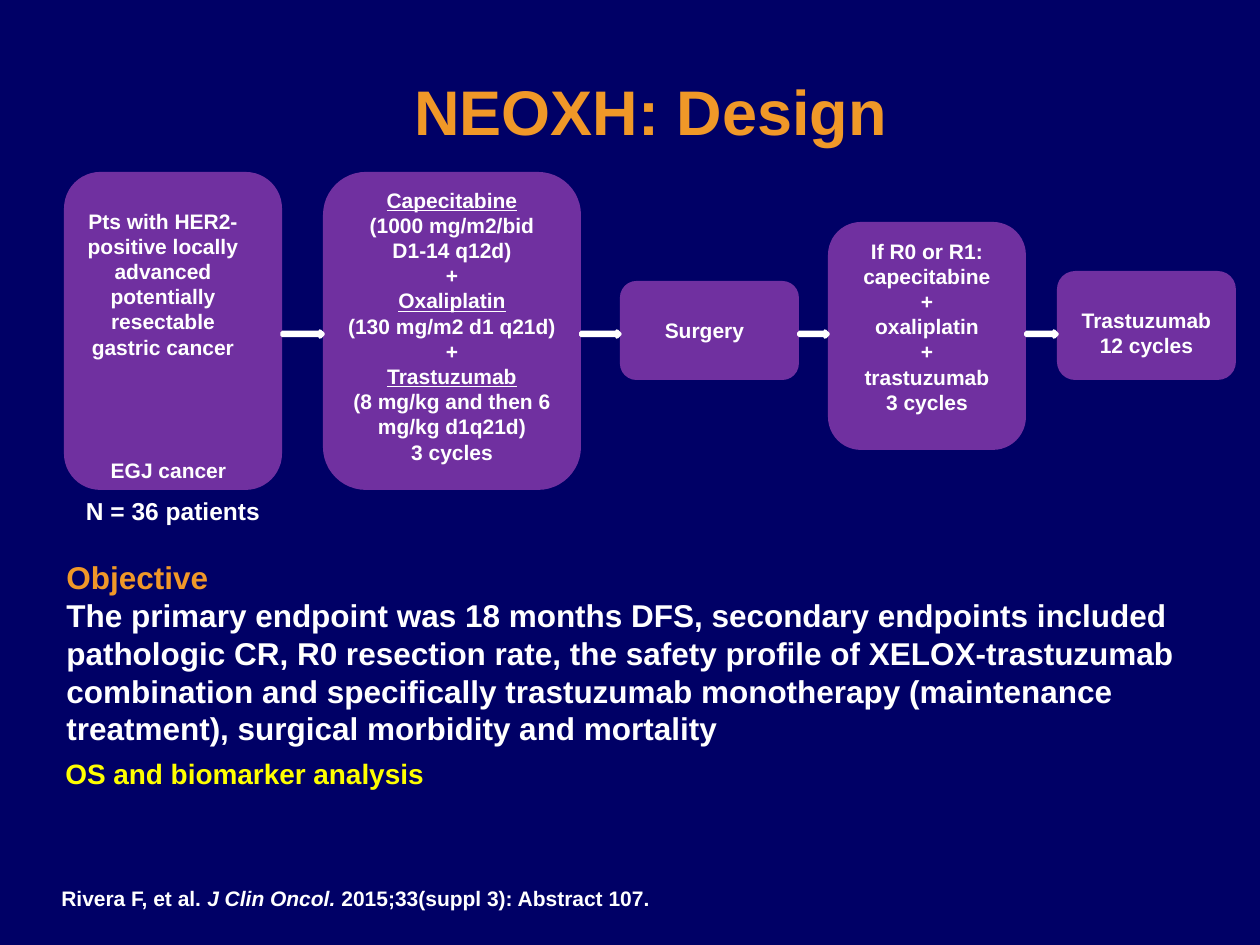
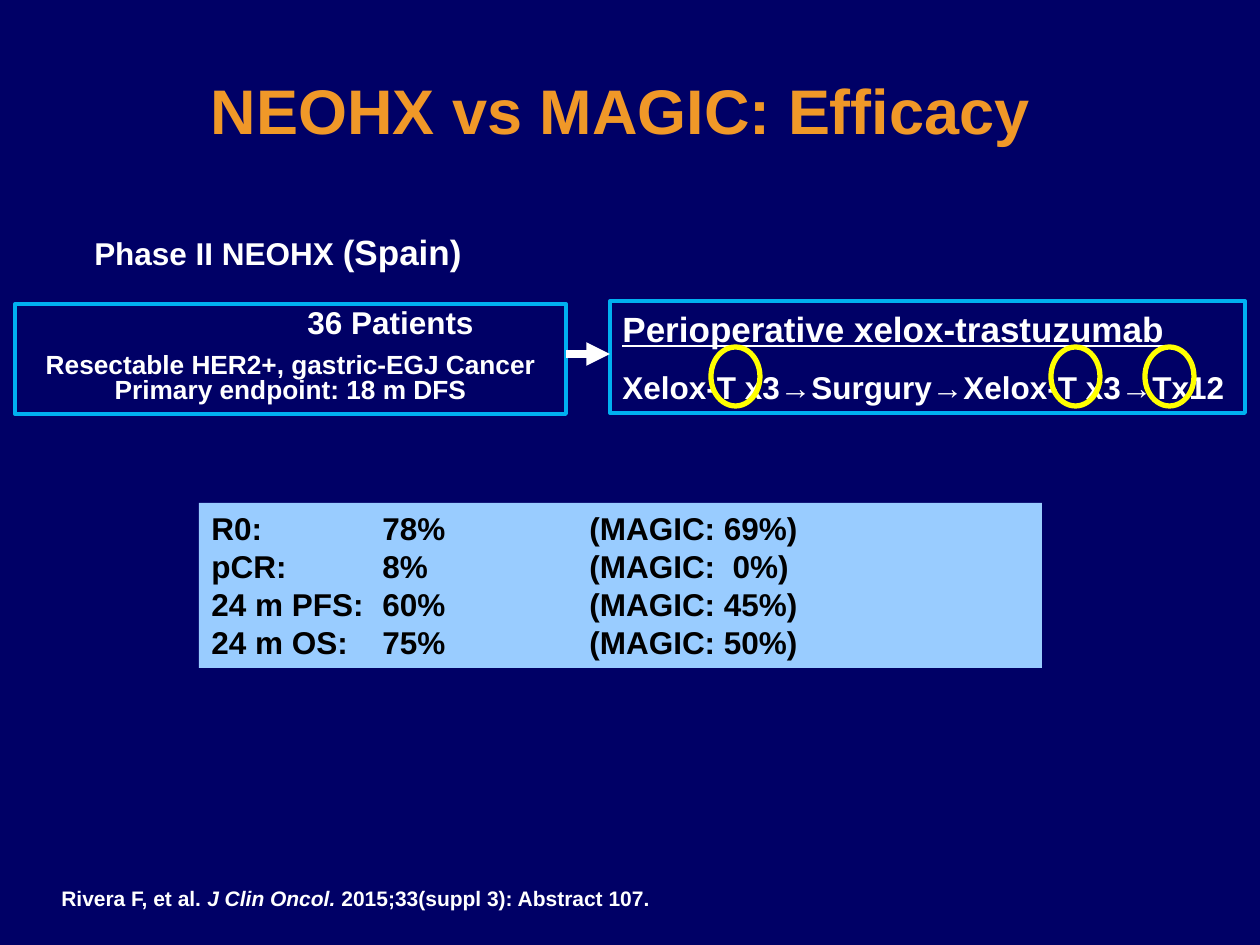
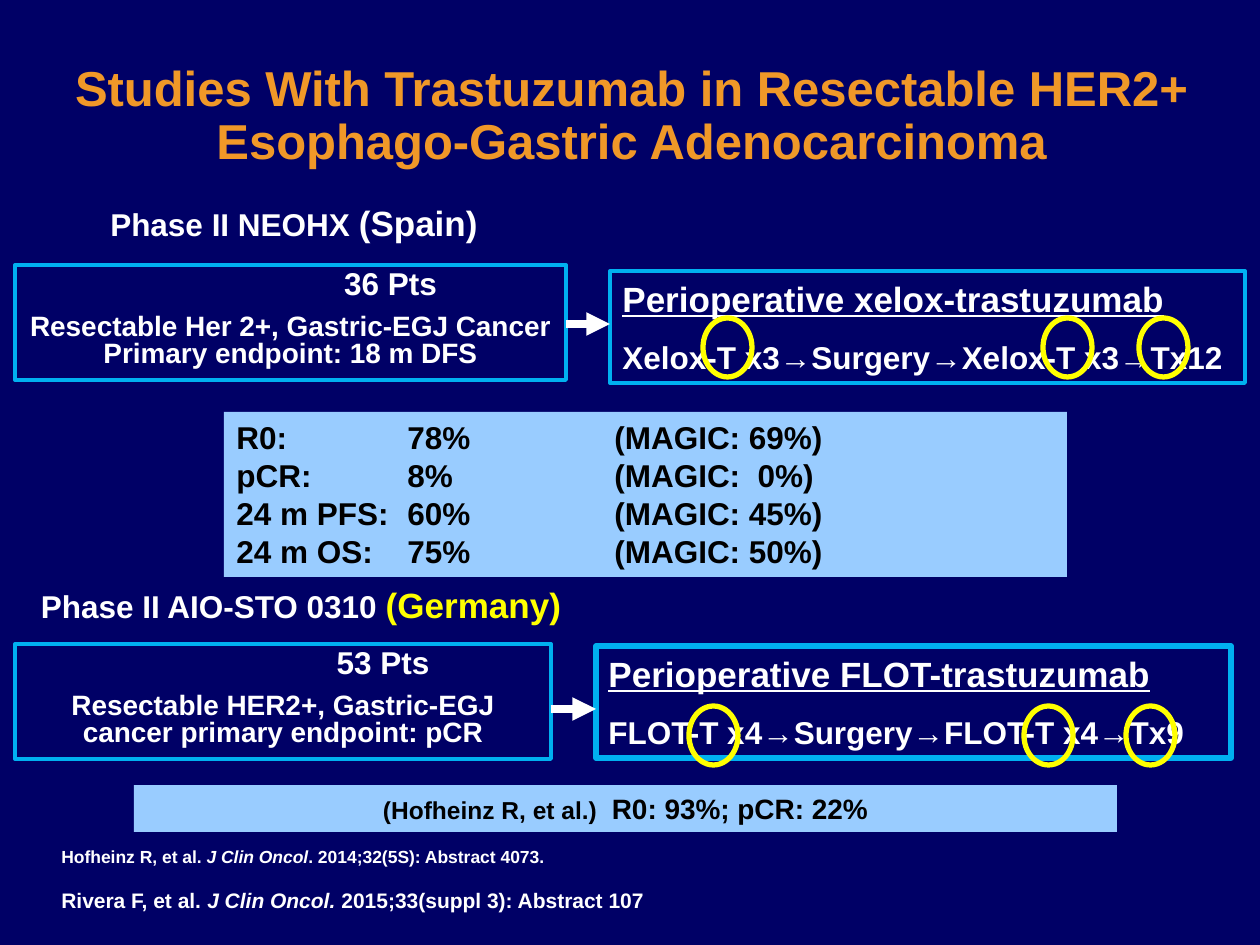
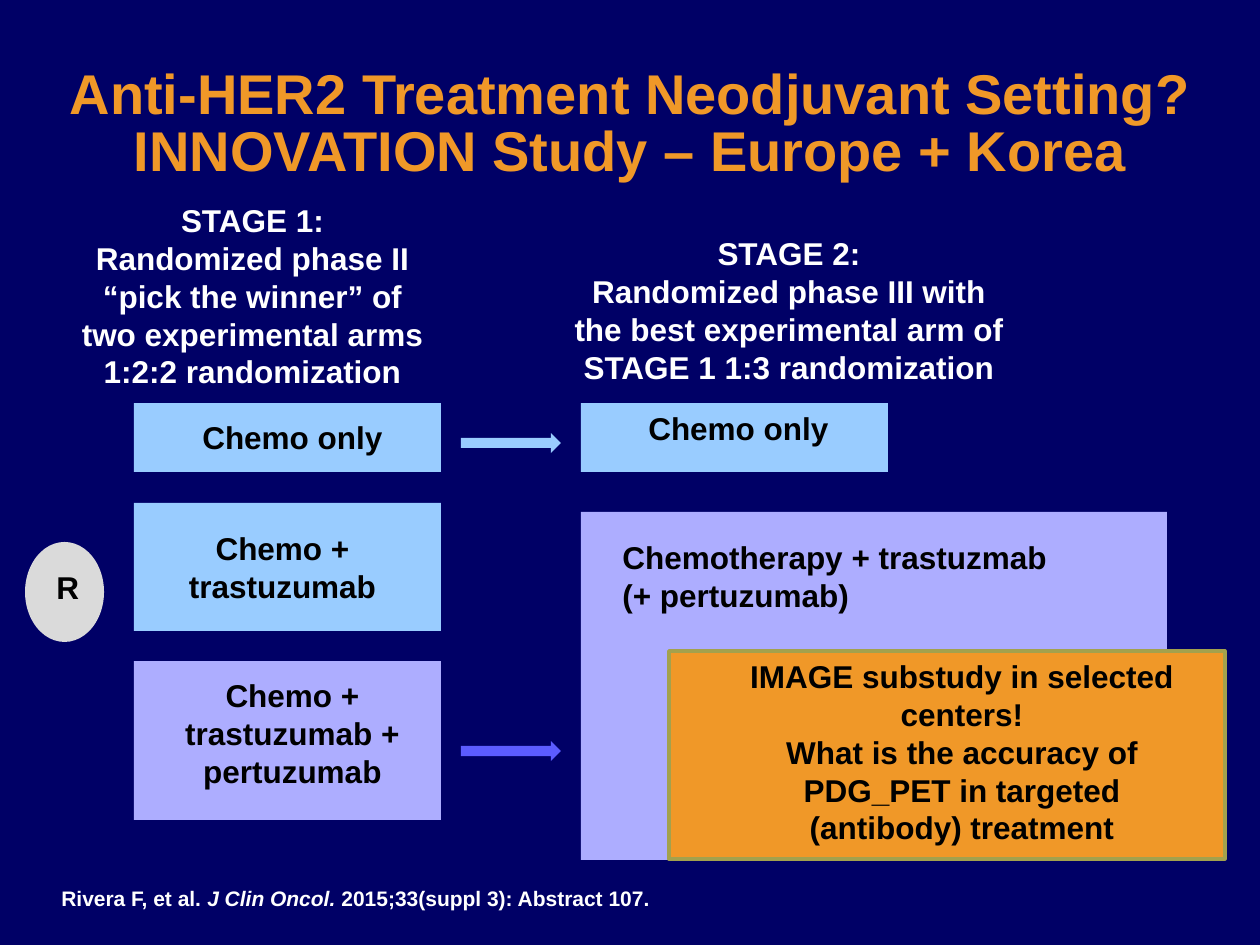
from dataclasses import dataclass
from itertools import pairwise

from lxml import etree
from pptx import Presentation
from pptx.dml.color import RGBColor
from pptx.enum.shapes import MSO_CONNECTOR, MSO_SHAPE
from pptx.enum.text import MSO_ANCHOR, PP_ALIGN
from pptx.oxml.ns import qn
from pptx.util import Emu, Pt

RECT, ROUND, OVAL, ARROW = (MSO_SHAPE.RECTANGLE, MSO_SHAPE.ROUNDED_RECTANGLE,
                            MSO_SHAPE.OVAL, MSO_SHAPE.RIGHT_ARROW)
LEFT, CENTER = PP_ALIGN.LEFT, PP_ALIGN.CENTER
TOP, MIDDLE = MSO_ANCHOR.TOP, MSO_ANCHOR.MIDDLE
STRAIGHT = MSO_CONNECTOR.STRAIGHT

EMU_PER_PX = 914400 / 126
SLIDE_SIZE = (1260, 945)
BLANK = 6


@dataclass(frozen=True)
class Theme:
    font: str = "Arial"
    navy: str = "000066"
    orange: str = "F09828"
    white: str = "FFFFFF"
    black: str = "000000"
    yellow: str = "FFFF00"
    purple: str = "7030A0"
    cyan: str = "00B0F0"
    sky: str = "99CCFF"
    lilac: str = "ADADFF"
    indigo: str = "5C5CFF"
    gray: str = "DADADA"
    olive: str = "A3A14D"
    title: int = 36
    title_medium: int = 32
    title_small: int = 28
    large: int = 20
    body: int = 18
    note: int = 16
    detail: int = 15
    caption: int = 14
    small: int = 12
    tiny: int = 10


T = Theme()


def px(value):
    return Emu(round(value * EMU_PER_PX))


def rgb(color):
    return RGBColor.from_string(color)


# Text

def write(tf, paras, size=T.body, color=T.white, anchor=TOP, indent=0, **para_format):
    """Each paragraph is a string or a list of (text, run format) pairs."""
    tf.word_wrap = True
    tf.vertical_anchor = anchor
    para_format = {"alignment": LEFT, **para_format}
    for i, para in enumerate([paras] if isinstance(paras, str) else paras):
        p = tf.paragraphs[0] if i == 0 else tf.add_paragraph()
        for name, value in para_format.items():
            setattr(p, name, value)
        runs = [(para, {})] if isinstance(para, str) else para
        for text, run_format in runs:
            r = p.add_run()
            r.text = text
            values = {"name": T.font, "size": size, "bold": True,
                      "color": color, **run_format}
            r.font.color.rgb = rgb(values.pop("color"))
            values["size"] = Pt(values["size"])
            for name, value in values.items():
                setattr(r.font, name, value)
    if indent:
        tf.paragraphs[0]._p.get_or_add_pPr().set("marL", str(px(indent)))


def add_text(s, box, paras, **text_format):
    tf = s.shapes.add_textbox(*map(px, box)).text_frame
    write(tf, paras, **text_format)
    return tf


def add_title(s, box, text, size, line_spacing=0.9):
    tf = add_text(s, box, text, size=size, color=T.orange, anchor=MIDDLE,
                  alignment=CENTER, line_spacing=line_spacing)
    # Text shadow, placed right after the fill
    for r in tf.paragraphs[0].runs:
        effects = etree.Element(qn("a:effectLst"))
        shadow = etree.SubElement(effects, qn("a:outerShdw"), dist="38100",
                                  dir="2700000", algn="tl")
        etree.SubElement(shadow, qn("a:srgbClr"), val=T.black)
        r.font._element.find(qn("a:solidFill")).addnext(effects)


def citation(author, journal, rest):
    return [[(author, {}), (journal, {"italic": True}), (rest, {})]]


def add_footer(s, y=879, end="."):
    add_text(s, (49, y, 1134, 38), citation(
        "Rivera F, et al. ", "J Clin Oncol. ",
        "2015;33(suppl 3): Abstract 107" + end), size=T.small)


# Shapes

def add_shape(s, kind, box, fill=None, line=None, width=2.25):
    sp = s.shapes.add_shape(kind, *map(px, box))
    sp.shadow.inherit = False
    if fill:
        sp.fill.solid()
        sp.fill.fore_color.rgb = rgb(fill)
    else:
        sp.fill.background()
    if line:
        sp.line.color.rgb = rgb(line)
        sp.line.width = Pt(width)
    else:
        sp.line.fill.background()
    return sp


def add_arrow_line(s, x1, x2, y):
    c = s.shapes.add_connector(STRAIGHT, *map(px, (x1, y, x2, y)))
    c.line.color.rgb = rgb(T.white)
    c.line.width = Pt(4.5)
    c.line._get_or_add_ln().append(
        etree.Element(qn("a:tailEnd"), type="triangle"))
    etree.SubElement(c._element.spPr, qn("a:effectLst"))


def add_results(s, x, y):
    rows = [("R0:", "78%", "(MAGIC: 69%)"),
            ("pCR:", "8%", "(MAGIC:  0%)"),
            ("24 m PFS:", "60%", "(MAGIC: 45%)"),
            ("24 m OS:", "75%", "(MAGIC: 50%)")]
    sp = add_shape(s, RECT, (x, y, 843, 165), T.sky)
    write(sp.text_frame, ["\t".join(row) for row in rows], color=T.black)
    for p in sp.text_frame.paragraphs:
        tabs = etree.SubElement(p._p.get_or_add_pPr(), qn("a:tabLst"))
        for stop in (171, 378):
            etree.SubElement(tabs, qn("a:tab"), pos=str(px(stop)), algn="l")


def add_study(s, heading_box, heading, country, patients_box, patients, criteria,
              regimen_box, regimen, steps, arrow_y, marks, mark_y,
              criteria_size=T.note, country_color=T.white, regimen_line=2.25):
    add_text(s, heading_box, [[(heading, {}), (country, {
        "size": T.large, "color": country_color})]], alignment=CENTER)

    sp = add_shape(s, RECT, patients_box, line=T.cyan)
    write(sp.text_frame, [patients, [(criteria, {"size": criteria_size})]],
          alignment=CENTER, line_spacing=0.8, indent=200)
    sp.text_frame.paragraphs[1].space_before = Pt(8)

    sp = add_shape(s, RECT, regimen_box, line=T.cyan, width=regimen_line)
    write(sp.text_frame, [[(regimen, {"size": T.large, "underline": True})], steps])
    sp.text_frame.paragraphs[1].space_before = Pt(11)

    add_arrow_line(s, patients_box[0] + patients_box[2], regimen_box[0], arrow_y)
    for x in marks:
        add_shape(s, OVAL, (x, mark_y, 49, 59), line=T.yellow, width=3)


# Slides

def design_slide(s):
    add_text(s, (402, 66, 520, 89), "NEOXH: Design", size=T.title, color=T.orange)

    # Treatment steps and the arrows between them
    steps = [(64, 172, 218, 318), (323, 172, 258, 318), (620, 281, 179, 99),
             (828, 222, 198, 228), (1057, 271, 179, 109)]
    for box in steps:
        add_shape(s, ROUND, box, T.purple)
    for (x, _, w, _), (next_x, *_) in pairwise(steps):
        add_shape(s, ARROW, (x + w, 331, next_x - x - w, 6), T.white, T.white, 2)

    underline = {"underline": True}
    labels = [
        ((64, 202, 198, 165), "Pts with HER2- positive locally advanced "
         "potentially resectable gastric cancer"),
        ((84, 451, 169, 38), "EGJ cancer"),
        ((323, 181, 258, 292),
         [[("Capecitabine", underline)], "(1000 mg/m2/bid", "D1-14 q12d)", "+",
          [("Oxaliplatin", underline)], "(130 mg/m2 d1 q21d)", "+",
          [("Trastuzumab", underline)], "(8 mg/kg and then 6 mg/kg d1q21d)",
          "3 cycles"]),
        ((640, 311, 129, 38), "Surgery"),
        ((828, 232, 198, 190), ["If R0 or R1:", "capecitabine", "+", "oxaliplatin",
                                "+", "trastuzumab", "3 cycles"]),
        ((1057, 301, 179, 63), "Trastuzumab 12 cycles"),
    ]
    for box, paras in labels:
        add_text(s, box, paras, size=T.small, alignment=CENTER)
    add_text(s, (64, 490, 218, 43), "N = 36 patients", size=T.caption,
             alignment=CENTER)

    # Objective
    add_text(s, (54, 552, 1160, 204), [
        [("Objective", {"color": T.orange})],
        "The primary endpoint was 18 months DFS, secondary endpoints included "
        "pathologic CR, R0 resection rate, the safety profile of "
        "XELOX-trastuzumab combination and specifically trastuzumab monotherapy "
        "(maintenance treatment), surgical morbidity and mortality"])
    add_text(s, (53, 750, 399, 47), "OS and biomarker analysis", size=T.note,
             color=T.yellow)
    add_footer(s)


def efficacy_slide(s):
    add_title(s, (14, 35, 1213, 158), "NEOHX vs MAGIC: Efficacy", T.title)
    add_study(s, (0, 224, 556, 55), "Phase II NEOHX ", "(Spain)",
              (15, 304, 551, 110), "36 Patients",
              "Resectable HER2+, gastric-EGJ Cancer Primary endpoint: 18 m DFS",
              (610, 301, 635, 112), "Perioperative xelox-trastuzumab",
              "Xelox-T x3→Surgury→Xelox-T x3→Tx12",
              354, (711, 1051, 1145), 347, criteria_size=T.detail)
    add_results(s, 199, 503)
    add_footer(s)


def studies_slide(s):
    add_title(s, (25, 38, 1213, 158), "Studies With Trastuzumab in Resectable "
              "HER2+ Esophago-Gastric Adenocarcinoma", T.title_small)
    add_study(s, (15, 195, 558, 55), "Phase II NEOHX ", "(Spain)",
              (15, 265, 551, 115), "36 Pts",
              "Resectable Her 2+, Gastric-EGJ Cancer Primary endpoint: 18 m DFS",
              (610, 271, 635, 112), "Perioperative xelox-trastuzumab",
              "Xelox-T x3→Surgery→Xelox-T x3→Tx12",
              324, (703, 1043, 1139), 318)
    add_results(s, 224, 412)
    add_study(s, (15, 577, 572, 55), "Phase II AIO-STO 0310 ", "(Germany)",
              (15, 644, 536, 115), "53 Pts",
              "Resectable HER2+, Gastric-EGJ cancer primary endpoint: pCR",
              (596, 646, 635, 112), "Perioperative FLOT-trastuzumab",
              "FLOT-T x4→Surgery→FLOT-T x4→Tx9",
              709, (689, 1024, 1126), 706,
              country_color=T.yellow, regimen_line=3)
    sp = add_shape(s, RECT, (134, 785, 983, 47), T.sky)
    write(sp.text_frame, [[("(Hofheinz R, et al.) ", {"size": T.caption}),
                           (" R0: 93%; pCR: 22%", {})]],
          size=T.note, color=T.black, alignment=CENTER)
    add_text(s, (49, 840, 630, 34), citation(
        "Hofheinz R, et al. ", "J Clin Oncol", ". 2014;32(5S): Abstract 4073."),
        size=T.tiny)
    add_footer(s, 881, end="")


def innovation_slide(s):
    add_title(s, (47, 47, 1167, 158), "Anti-HER2 Treatment Neodjuvant Setting? "
              "INNOVATION Study – Europe + Korea", T.title_medium, 0.85)

    # Arms of both stages
    shapes = [
        (RECT, (134, 403, 307, 69), T.sky),
        (RECT, (134, 503, 307, 128), T.sky),
        (RECT, (134, 661, 307, 159), T.lilac),
        (ARROW, (461, 433, 100, 20), T.sky),
        (ARROW, (461, 741, 100, 20), T.indigo),
        (RECT, (581, 403, 307, 69), T.sky),
        (RECT, (581, 512, 586, 348), T.lilac),
        (OVAL, (25, 542, 79, 100), T.gray),
    ]
    for kind, box, fill in shapes:
        add_shape(s, kind, box, fill)
    add_shape(s, RECT, (669, 651, 556, 208), T.orange, T.olive, 2)

    # Labels
    labels = [
        ((154, 412, 277, 50), "Chemo only"),
        ((144, 523, 277, 89), ["Chemo +", "trastuzumab"]),
        ((154, 670, 277, 127), ["Chemo +", "trastuzumab +", "pertuzumab"]),
        ((600, 403, 277, 50), "Chemo only"),
        ((719, 651, 486, 204), [
            "IMAGE substudy in selected centers!",
            "What is the accuracy of PDG_PET in targeted (antibody) treatment"]),
        ((44, 562, 39, 50), "R"),
    ]
    for box, paras in labels:
        add_text(s, box, paras, color=T.black, alignment=CENTER)
    add_text(s, (610, 532, 546, 89),
             ["Chemotherapy + trastuzmab", "(+ pertuzumab)"], color=T.black)

    # Stage headings
    stages = [
        ((64, 195, 377, 204), ["STAGE 1:", "Randomized phase II “pick the winner” "
                               "of two experimental arms 1:2:2 randomization"]),
        ((561, 228, 456, 165), ["STAGE 2:", "Randomized phase III with the best "
                                "experimental arm of STAGE 1 1:3 randomization"]),
    ]
    for box, paras in stages:
        add_text(s, box, paras, alignment=CENTER)
    add_footer(s)


def main():
    prs = Presentation()
    prs.slide_width, prs.slide_height = map(px, SLIDE_SIZE)
    background = prs.slide_master.background.fill
    background.solid()
    background.fore_color.rgb = rgb(T.navy)
    for build in (design_slide, efficacy_slide, studies_slide, innovation_slide):
        build(prs.slides.add_slide(prs.slide_layouts[BLANK]))
    prs.save("out.pptx")


if __name__ == "__main__":
    main()
